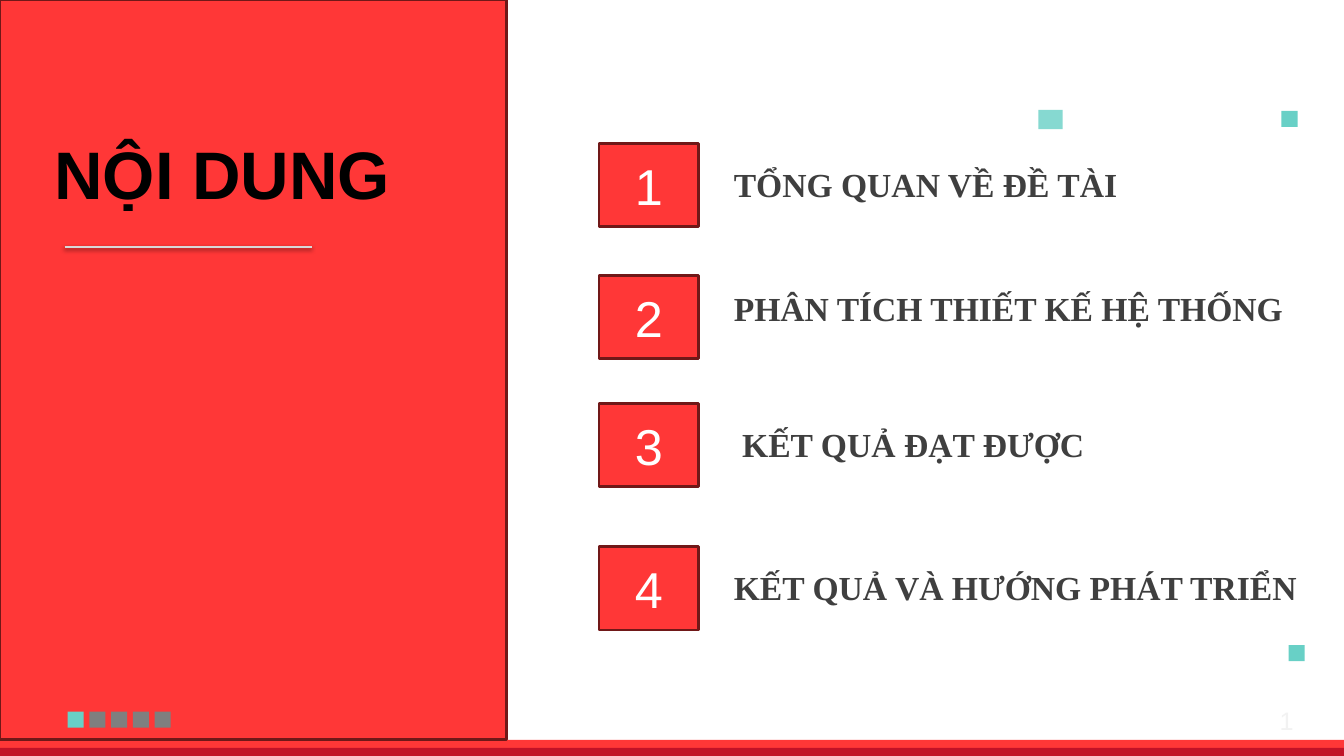
from lxml import etree
from pptx import Presentation
from pptx.dml.color import RGBColor
from pptx.enum.shapes import MSO_CONNECTOR, MSO_SHAPE
from pptx.enum.text import MSO_ANCHOR, MSO_AUTO_SIZE, PP_ALIGN
from pptx.oxml import parse_xml
from pptx.oxml.ns import qn
from pptx.util import Inches, Pt

WIDTH, HEIGHT = 13.33, 7.5
RED, DARK_RED, OUTLINE = "FF3737", "C21227", "701818"
TEAL, GREY, TEXT_GREY = "68D0C6", "7F7F7F", "3F3F3F"
DOT = 0.16
NAMESPACE = "http://schemas.openxmlformats.org/drawingml/2006/main"

# Agenda entries: heading, top of number box, offset of heading below it
AGENDA = [
    ("TỔNG QUAN VỀ ĐỀ TÀI", 1.42, 0.16),
    ("PHÂN TÍCH THIẾT KẾ HỆ THỐNG", 2.73, 0.08),
    (" KẾT QUẢ ĐẠT ĐƯỢC", 4.0, 0.16),
    ("KẾT QUẢ VÀ HƯỚNG PHÁT TRIỂN", 5.42, 0.16),
]


def color(value):
    return RGBColor.from_string(value)


def inches(*lengths):
    return [Inches(length) for length in lengths]


def add_rectangle(slide, box, fill, line=None, opacity=None):
    shape = slide.shapes.add_shape(MSO_SHAPE.RECTANGLE, *inches(*box))
    shape.shadow.inherit = False
    shape.fill.solid()
    shape.fill.fore_color.rgb = color(fill)
    if line:
        shape.line.color.rgb = color(line)
        shape.line.width = Pt(2)
    else:
        shape.line.fill.background()
    if opacity:
        fill_color = shape.element.spPr.find(f".//{qn('a:srgbClr')}")
        etree.SubElement(fill_color, qn("a:alpha"), val=str(opacity * 1000))
    return shape


def format_paragraph(paragraph, name, size, fill, bold=False, align=PP_ALIGN.LEFT):
    paragraph.alignment = align
    font = paragraph.font
    font.name, font.size, font.bold = name, Pt(size), bold
    font.color.rgb = color(fill)


def add_text(slide, box, text, *style):
    text_box = slide.shapes.add_textbox(*inches(*box))
    frame = text_box.text_frame
    frame.word_wrap = True
    frame.text = text
    format_paragraph(frame.paragraphs[0], *style)
    return text_box


def add_footer(slide, box):
    left, top, width, height = box
    add_rectangle(slide, box, RED)
    add_rectangle(slide, (left, top + height / 2, width, height / 2), DARK_RED)


def add_title_panel(slide, box):
    left, top, width, height = box
    add_rectangle(slide, box, RED, OUTLINE)

    # Title, brought in front of the panel
    title = slide.shapes.title
    title.left, title.top, title.width, title.height = inches(
        left + 0.44, top + 1.26, width - 0.45, 0.91)
    frame = title.text_frame
    frame.text = "NỘI DUNG"
    frame.vertical_anchor = MSO_ANCHOR.TOP
    frame.auto_size = MSO_AUTO_SIZE.NONE
    format_paragraph(frame.paragraphs[0], "Arial", 48, "000000", True)
    title.element.getparent().append(title.element)

    # Underline with a soft shadow
    x, y, length = left + 0.64, top + 2.45, 2.45
    underline = slide.shapes.add_connector(
        MSO_CONNECTOR.STRAIGHT, *inches(x, y, x + length, y))
    underline.line.color.rgb = color("D8D8D8")
    underline.line.width = Pt(2)
    underline.element.spPr.append(parse_xml(
        f'<a:effectLst xmlns:a="{NAMESPACE}">'
        f'<a:outerShdw blurRad="{Pt(3.1)}" dist="{Pt(1.6)}" dir="5400000">'
        '<a:srgbClr val="000000"><a:alpha val="38000"/></a:srgbClr>'
        '</a:outerShdw></a:effectLst>'))

    # Progress dots
    for index in range(5):
        dot_box = (left + 0.67 + index * 0.216, top + height - 0.28, DOT, DOT)
        add_rectangle(slide, dot_box, GREY if index else TEAL)


def add_agenda(slide, box):
    left, top, width, _ = box
    for number, (heading, row_top, offset) in enumerate(AGENDA, 1):
        square = add_rectangle(
            slide, (left, top + row_top, 0.99, 0.83), RED, OUTLINE)
        frame = square.text_frame
        frame.text = str(number)
        frame.vertical_anchor = MSO_ANCHOR.MIDDLE
        format_paragraph(frame.paragraphs[0], "Arial", 36, "FFFFFF",
                         False, PP_ALIGN.CENTER)
        add_text(slide, (left + 1.24, top + row_top + offset, width - 1.24, 0.5),
                 heading, "Times New Roman", 24, TEXT_GREY, True)


def add_accents(slide):
    add_rectangle(slide, (10.3, 1.09, 0.24, 0.19), TEAL, opacity=80)
    for left, top in ((12.71, 1.1), (12.78, 6.4)):
        add_rectangle(slide, (left, top, DOT, DOT), TEAL)


def add_slide_number(slide, box):
    text_box = add_text(slide, box, "", "Arial", 18, "F2F2F2", False, PP_ALIGN.RIGHT)
    text_box.text_frame.vertical_anchor = MSO_ANCHOR.MIDDLE
    paragraph = text_box.text_frame.paragraphs[0]
    properties = paragraph._p.find(qn("a:pPr"))
    properties.addnext(parse_xml(
        f'<a:fld xmlns:a="{NAMESPACE}" type="slidenum" '
        'id="{B6F15528-21DE-4FAA-801E-634DDDAF4B2B}">'
        '<a:rPr lang="vi-VN"/><a:t>1</a:t></a:fld>'))


def main():
    presentation = Presentation()
    presentation.slide_width, presentation.slide_height = inches(WIDTH, HEIGHT)
    slide = presentation.slides.add_slide(presentation.slide_layouts[5])
    add_footer(slide, (0, HEIGHT - 0.16, WIDTH, 0.16))
    add_title_panel(slide, (0, 0, 5.02, 7.34))
    add_accents(slide)
    add_agenda(slide, (5.94, 0, 7.14, HEIGHT))
    add_slide_number(slide, (12.0, 6.95, 0.93, 0.4))
    presentation.save("out.pptx")


if __name__ == "__main__":
    main()
